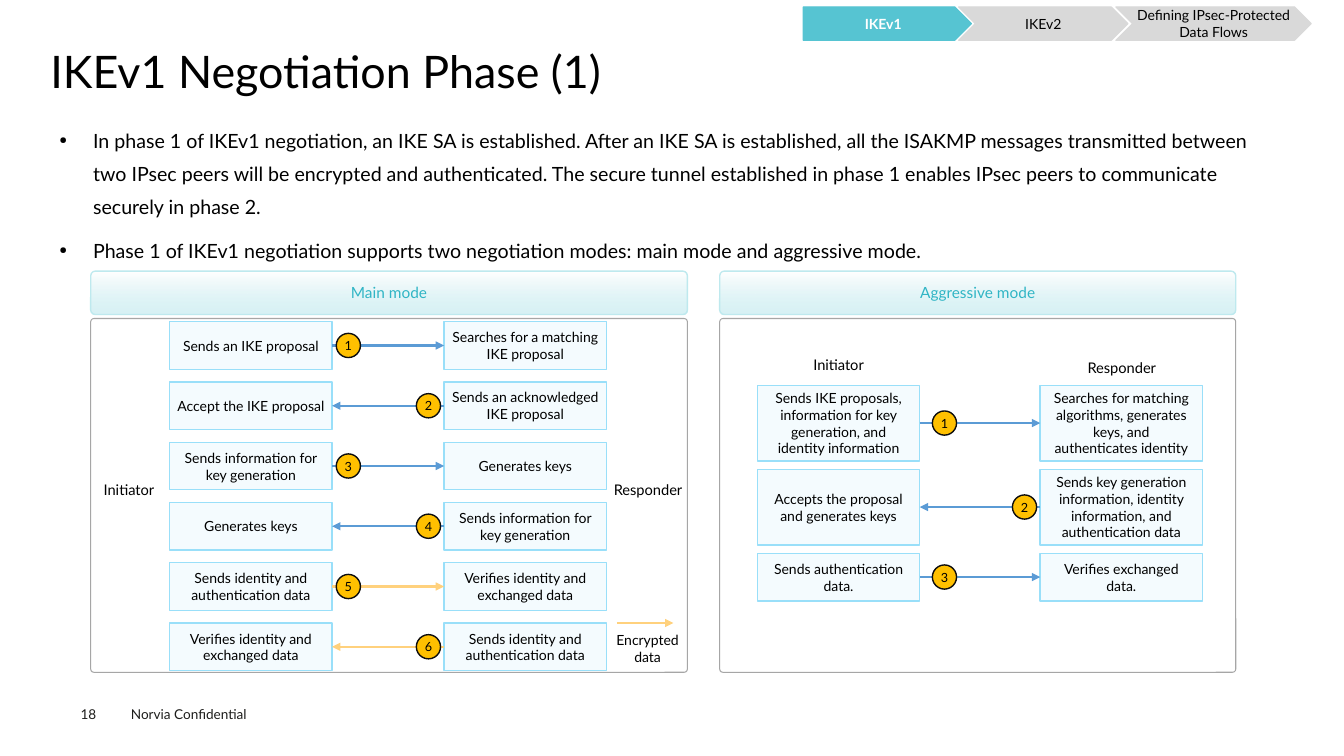
from lxml import etree
from pptx import Presentation
from pptx.dml.color import RGBColor
from pptx.enum.shapes import MSO_CONNECTOR, MSO_SHAPE
from pptx.enum.text import MSO_ANCHOR, PP_ALIGN
from pptx.oxml.ns import qn
from pptx.util import Pt

LEFT, CENTER = PP_ALIGN.LEFT, PP_ALIGN.CENTER
TOP, MIDDLE = MSO_ANCHOR.TOP, MSO_ANCHOR.MIDDLE
RECT, ROUNDED, OVAL = MSO_SHAPE.RECTANGLE, MSO_SHAPE.ROUNDED_RECTANGLE, MSO_SHAPE.OVAL
PENTAGON, CHEVRON = MSO_SHAPE.PENTAGON, MSO_SHAPE.CHEVRON
STRAIGHT = MSO_CONNECTOR.STRAIGHT

COLORS = {
    "black": "000000", "white": "FFFFFF", "footer": "1D1D1B",
    "teal": "56C4D2", "teal_text": "30B5C5", "teal_pale": "BEE9EE",
    "gray": "D9D9D9", "frame": "A6A6A6", "step": "F4FBFE", "step_edge": "99DFF9",
    "plain": "5B9BD5", "encrypted": "FFD17D", "badge": "FFC000", "badge_edge": "0D0D0D",
}

STEP_WIDTH = 116
BADGE = 17.3

NAVIGATION = [
    (PENTAGON, 573.8, 120.2, "IKEv1", "teal", "white", True, 0),
    (CHEVRON, 684.7, 121, "IKEv2", "gray", "black", False, 0),
    (CHEVRON, 797, 139.7, "Defining IPsec-Protected Data Flows", "gray", "black", False, 2.9),
]

BODY = [
    "In phase 1 of IKEv1 negotiation, an IKE SA is established. After an IKE SA is "
    "established, all the ISAKMP messages transmitted between two IPsec peers will be "
    "encrypted and authenticated. The secure tunnel established in phase 1 enables IPsec "
    "peers to communicate securely in phase 2.",
    "Phase 1 of IKEv1 negotiation supports two negotiation modes: main mode and "
    "aggressive mode.",
]

MAIN_STEPS = [
    ("Sends an IKE proposal", "Searches for a matching IKE proposal", 34, "plain"),
    ("Accept the IKE proposal", "Sends an acknowledged IKE proposal", 34, "plain"),
    ("Sends information for key generation", "Generates keys", 34, "plain"),
    ("Generates keys", "Sends information for key generation", 34, "plain"),
    ("Sends identity and authentication data", "Verifies identity and exchanged data",
     34, "encrypted"),
    ("Verifies identity and exchanged data", "Sends identity and authentication data",
     34, "encrypted"),
]

AGGRESSIVE_STEPS = [
    ("Sends IKE proposals, information for key generation, and identity information",
     "Searches for matching algorithms, generates keys, and authenticates identity",
     54, "plain"),
    ("Accepts the proposal and generates keys",
     "Sends key generation information, identity information, and authentication data",
     54, "plain"),
    ("Sends authentication data.", "Verifies exchanged data.", 34, "plain"),
]


class SlideBuilder:
    font = "Lato"

    def __init__(self, slide):
        self.slide = slide

    def color(self, name):
        return RGBColor.from_string(COLORS[name])

    def set_text(self, frame, paragraphs, size=10, color="black", bold=False, align=CENTER,
                 anchor=MIDDLE, inset=(0, 0), wrap=True, spacing=None, before=None):
        across, down = inset
        frame_format = {
            "margin_left": Pt(across), "margin_right": Pt(across),
            "margin_top": Pt(down), "margin_bottom": Pt(down),
            "word_wrap": wrap, "vertical_anchor": anchor,
        }
        paragraph_format = {"alignment": align, "line_spacing": spacing, "space_before": before}
        font_format = {"name": self.font, "size": Pt(size), "bold": bold}
        for attribute, value in frame_format.items():
            setattr(frame, attribute, value)
        for index, words in enumerate(paragraphs):
            paragraph = frame.add_paragraph() if index else frame.paragraphs[0]
            for attribute, value in paragraph_format.items():
                setattr(paragraph, attribute, value)
            run = paragraph.add_run()
            run.text = words
            for attribute, value in font_format.items():
                setattr(run.font, attribute, value)
            run.font.color.rgb = self.color(color)

    def label(self, box, *paragraphs, **style):
        holder = self.slide.shapes.add_textbox(*map(Pt, box))
        self.set_text(holder.text_frame, paragraphs,
                      **{"anchor": TOP, "inset": (7.2, 3.6), **style})
        return holder

    def bullets(self, box, paragraphs):
        holder = self.label(box, *paragraphs, size=14, align=LEFT, inset=(6.5, 2.9),
                            spacing=1.4, before=Pt(7.9))
        for paragraph in holder.element.iter(qn("a:p")):
            properties = paragraph.get_or_add_pPr()
            properties.set("marL", str(Pt(24)))
            properties.set("indent", str(Pt(-24)))
            etree.SubElement(properties, qn("a:buSzPct"), val="50000")
            etree.SubElement(properties, qn("a:buChar"), char="●")

    def shape(self, kind, box, edge, fill=None, words=None, weight=1, radius=None, **style):
        shape = self.slide.shapes.add_shape(kind, *map(Pt, box))
        shape.shadow.inherit = False
        if radius is not None:
            shape.adjustments[0] = radius
        if fill:
            shape.fill.solid()
            shape.fill.fore_color.rgb = self.color(fill)
        else:
            shape.fill.background()
        shape.line.color.rgb = self.color(edge)
        shape.line.width = Pt(weight)
        if words:
            self.set_text(shape.text_frame, [words], **style)
        return shape

    def panel(self, left, width, heading):
        header = self.shape(ROUNDED, (left, 193.7, width, 31), "teal_pale", words=heading,
                            radius=0.106, size=11, color="teal_text")
        header.fill.gradient()
        header.fill.gradient_angle = 270
        for stop, name, position in zip(header.fill.gradient_stops, ("white", "teal_pale"), (0, 1)):
            stop.color.rgb = self.color(name)
            stop.position = position
        pale = header.element.spPr.findall(".//" + qn("a:gs"))[-1][0]
        etree.SubElement(pale, qn("a:alpha"), val="60000")
        self.shape(ROUNDED, (left, 227.5, width, 252.7), "frame", weight=0.75, radius=0.009)

    def arrow(self, start, end, y, color):
        connector = self.slide.shapes.add_connector(STRAIGHT, Pt(start), Pt(y), Pt(end), Pt(y))
        connector.line.color.rgb = self.color(color)
        connector.line.width = Pt(1.5)
        properties = connector.element.spPr
        etree.SubElement(properties.find(qn("a:ln")), qn("a:tailEnd"), type="triangle")
        etree.SubElement(properties, qn("a:effectLst"))

    def exchange(self, steps, initiator, responder, top, gap, lead, inset):
        gap_start = initiator + STEP_WIDTH
        for number, (initiator_step, responder_step, height, color) in enumerate(steps, 1):
            middle = top + height / 2
            for left, words in ((initiator, initiator_step), (responder, responder_step)):
                self.shape(RECT, (left, top, STEP_WIDTH, height), "step_edge", "step", words,
                           inset=inset)
            if number % 2:
                self.arrow(gap_start, responder, middle, color)
                badge_left = gap_start + lead
            else:
                self.arrow(responder, gap_start, middle, color)
                badge_left = responder - BADGE - 2.5
            self.shape(OVAL, (badge_left, middle - BADGE / 2, BADGE, BADGE), "badge_edge",
                       "badge", str(number), size=9, wrap=False)
            top += height + gap


def main():
    presentation = Presentation()
    presentation.slide_width, presentation.slide_height = Pt(960), Pt(540)
    page = SlideBuilder(presentation.slides.add_slide(presentation.slide_layouts[6]))

    page.label((86.4, 500.4, 115, 19.4), "Norvia Confidential", size=9.7, color="footer",
               align=LEFT)
    page.label((57.6, 504, 39.6, 11.5), "18", size=9.7, color="footer", align=LEFT, inset=(0, 0))
    page.label((36, 35.3, 889, 39), "IKEv1 Negotiation Phase (1)", size=32, align=LEFT,
               inset=(0, 0), spacing=0.9)
    page.bullets((36, 82.8, 889, 384), BODY)

    page.panel(64.8, 426.2, "Main mode")
    page.panel(514.1, 368.6, "Aggressive mode")
    page.exchange(MAIN_STEPS, 121.2, 317.2, 229.8, 9.04, 3, (2.9, 3.6))
    page.exchange(AGGRESSIVE_STEPS, 541, 743, 275.2, 6, 9, (7.2, 3.6))

    for left, top, width, role in (
        (64.8, 339.8, 54.7, "Initiator"), (429.1, 339.8, 67.7, "Responder"),
        (571.7, 250.6, 54.7, "Initiator"), (767.5, 252.7, 67.7, "Responder"),
    ):
        page.label((left, top, width, 20.9), role, size=10.5, wrap=False)

    page.arrow(440.6, 481, 445, "encrypted")
    page.label((426.2, 447.8, 72.7, 31.7), "Encrypted data")

    for kind, left, width, words, fill, color, bold, inset in NAVIGATION:
        page.shape(kind, (left, 5, width, 23.8), fill, fill, words, weight=0.75,
                   color=color, bold=bold, inset=(inset, 0))

    presentation.save("out.pptx")


if __name__ == "__main__":
    main()
